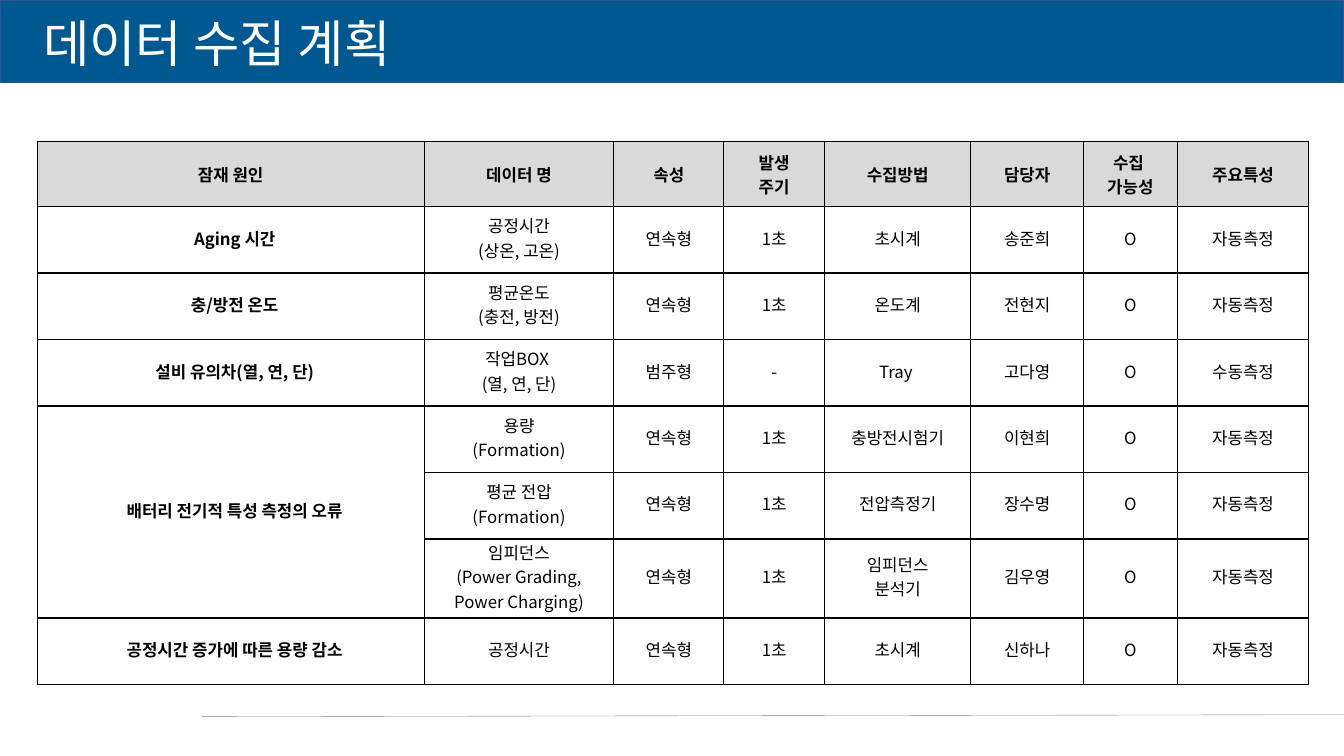
from dataclasses import dataclass

from lxml import etree
from pptx import Presentation
from pptx import util as u
from pptx.dml import color
from pptx.enum import shapes, text
from pptx.oxml import ns


@dataclass(frozen=True)
class Theme:
    font: str = "Noto Sans CJK KR"
    banner: str = "005891"
    banner_edge: str = "325491"
    rule: str = "808080"
    header: str = "D9D9D9"
    ink: str = "000000"
    paper: str = "FFFFFF"
    title_size: int = 36
    table_size: int = 12


HEADER = ("잠재 원인", "데이터 명", "속성", "발생\n주기", "수집방법", "담당자",
          "수집 \n가능성", "주요특성")
ROWS = (
    ("Aging 시간", "공정시간\n(상온, 고온)", "연속형", "1초", "초시계", "송준희", "O", "자동측정"),
    ("충/방전 온도", "평균온도\n(충전, 방전)", "연속형", "1초", "온도계", "전현지", "O", "자동측정"),
    ("설비 유의차(열, 연, 단)", "작업BOX \n(열, 연, 단)", "범주형", "-", "Tray ", "고다영", "O", "수동측정"),
    ("배터리 전기적 특성 측정의 오류", "용량\n(Formation)", "연속형", "1초", "충방전시험기", "이현희", "O", "자동측정"),
    ("", "평균 전압\n(Formation)", "연속형", "1초", "전압측정기", "장수명", "O", "자동측정"),
    ("", "임피던스\n(Power Grading,\nPower Charging)", "연속형", "1초", "임피던스\n분석기", "김우영", "O", "자동측정"),
    ("공정시간 증가에 따른 용량 감소", "공정시간", "연속형", "1초", "초시계", "신하나", "O", "자동측정"),
)
COLUMN_WIDTHS = (276.5, 135.5, 78.5, 72, 104.5, 80.5, 67, 94)
HEADER_HEIGHT, ROW_HEIGHT = 46.4, 47.5
CAUSE_MERGE = (4, 6)


class SlideBuilder:
    """Draws styled elements on the current slide."""

    def __init__(self, slide, theme):
        self.slide = slide
        self.theme = theme

    def rgb(self, value):
        return color.RGBColor.from_string(value)

    def add_text(self, frame, content, size, ink, bold=False, align=None):
        for index, line in enumerate(content.split("\n")):
            paragraph = frame.paragraphs[0] if index == 0 else frame.add_paragraph()
            paragraph.alignment = align
            run = paragraph.add_run()
            run.text = line
            run.font.name = self.theme.font
            run.font.size = u.Pt(size)
            run.font.bold = bold
            run.font.color.rgb = self.rgb(ink)
            east_asian = etree.SubElement(run.font._element, ns.qn("a:ea"))
            east_asian.set("typeface", self.theme.font)

    def banner(self, left, top, width, height):
        shape = self.slide.shapes.add_shape(
            shapes.MSO_SHAPE.RECTANGLE, *map(u.Pt, (left, top, width, height)))
        shape.shadow.inherit = False
        shape.fill.solid()
        shape.fill.fore_color.rgb = self.rgb(self.theme.banner)
        shape.line.color.rgb = self.rgb(self.theme.banner_edge)
        shape.line.width = u.Pt(1)

    def rule(self, x1, y1, x2, y2):
        connector = self.slide.shapes.add_connector(
            shapes.MSO_CONNECTOR.STRAIGHT, *map(u.Pt, (x1, y1, x2, y2)))
        connector.line.color.rgb = self.rgb(self.theme.rule)
        connector.line.width = u.Pt(0.25)
        etree.SubElement(connector._element.spPr, ns.qn("a:effectLst"))

    def title(self, content, left, top, width, height):
        box = self.slide.shapes.add_textbox(*map(u.Pt, (left, top, width, height)))
        box.text_frame.word_wrap = True
        self.add_text(box.text_frame, content, self.theme.title_size, self.theme.paper)

    def border(self, cell):
        properties = cell._tc.get_or_add_tcPr()
        for side in ("lnL", "lnR", "lnT", "lnB"):
            line = etree.SubElement(properties, ns.qn(f"a:{side}"), w=str(u.Pt(1)))
            fill = etree.SubElement(line, ns.qn("a:solidFill"))
            etree.SubElement(fill, ns.qn("a:srgbClr"), val=self.theme.ink)

    def cell(self, cell, content, is_header, is_cause):
        self.border(cell)
        cell.vertical_anchor = text.MSO_ANCHOR.MIDDLE
        if is_header:
            cell.fill.solid()
            cell.fill.fore_color.rgb = self.rgb(self.theme.header)
        else:
            cell.fill.background()
            cell.margin_left = u.Pt(6.5 if is_cause else 0.7)
            cell.margin_right = cell.margin_top = u.Pt(0.7)
            cell.margin_bottom = u.Pt(3.6)
        if content:
            self.add_text(cell.text_frame, content, self.theme.table_size, self.theme.ink,
                          is_header or is_cause, text.PP_ALIGN.CENTER)

    def table(self, left, top, header, rows, widths, merge):
        content = (header, *rows)
        heights = (HEADER_HEIGHT, *[ROW_HEIGHT] * len(rows))
        frame = self.slide.shapes.add_table(
            len(content), len(widths),
            *map(u.Pt, (left, top, sum(widths), sum(heights))))
        table = frame.table
        table.first_row = table.horz_banding = False
        for column, width in zip(table.columns, widths):
            column.width = u.Pt(width)
        for row, height in zip(table.rows, heights):
            row.height = u.Pt(height)
        for row_index, values in enumerate(content):
            for column_index, value in enumerate(values):
                self.cell(table.cell(row_index, column_index), value,
                          row_index == 0, column_index == 0)
        first, last = merge
        table.cell(first, 0).merge(table.cell(last, 0))


def main():
    presentation = Presentation()
    presentation.slide_width, presentation.slide_height = u.Pt(960), u.Pt(540)
    slide = presentation.slides.add_slide(presentation.slide_layouts[6])
    builder = SlideBuilder(slide, Theme())
    builder.banner(0, 0, 960, 59)
    builder.rule(144, 511.9, 960, 510.5)
    builder.table(26.5, 101.2, HEADER, ROWS, COLUMN_WIDTHS, CAUSE_MERGE)
    builder.title("데이터 수집 계획", 23.8, 5, 396, 51)
    presentation.save("out.pptx")


if __name__ == "__main__":
    main()
